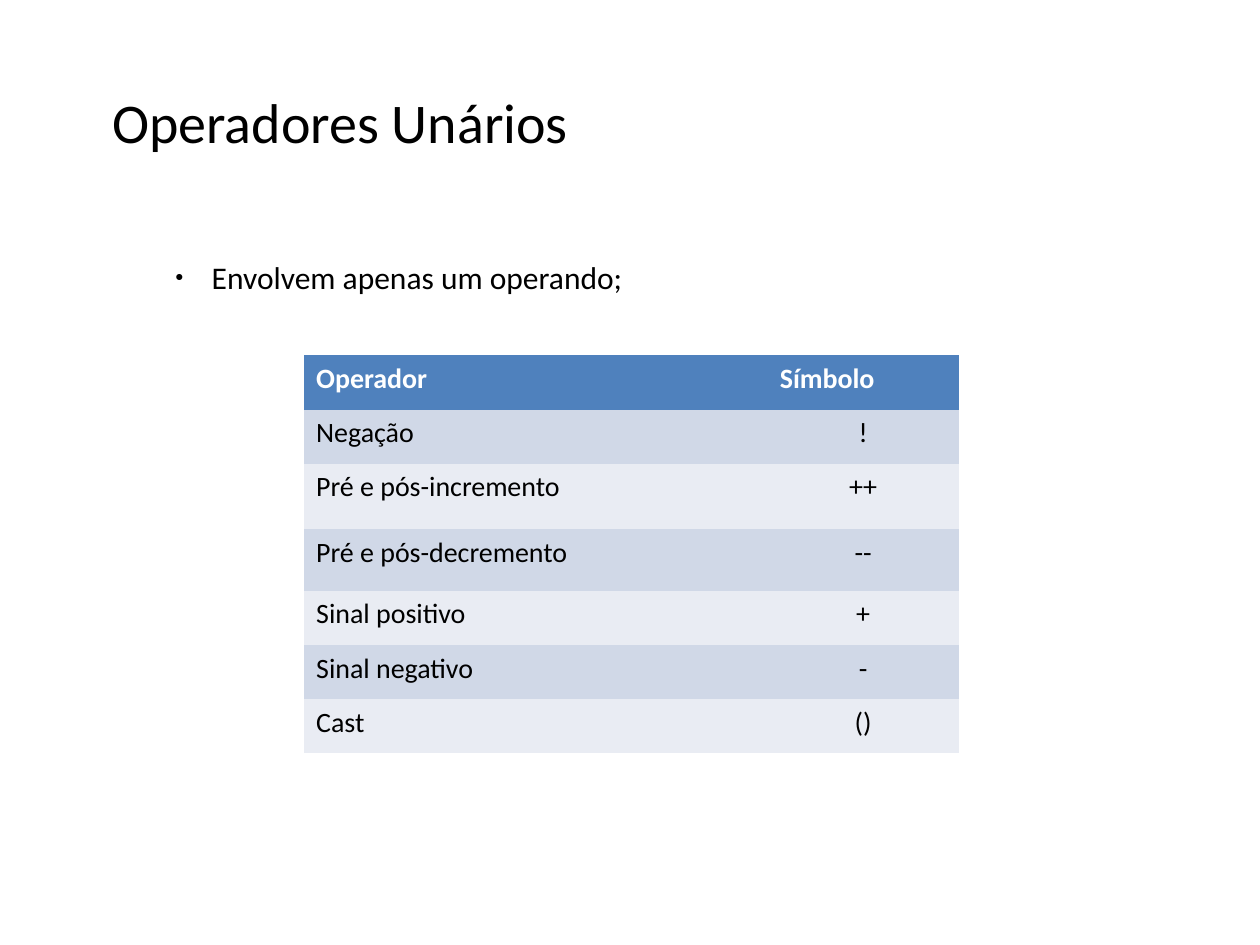
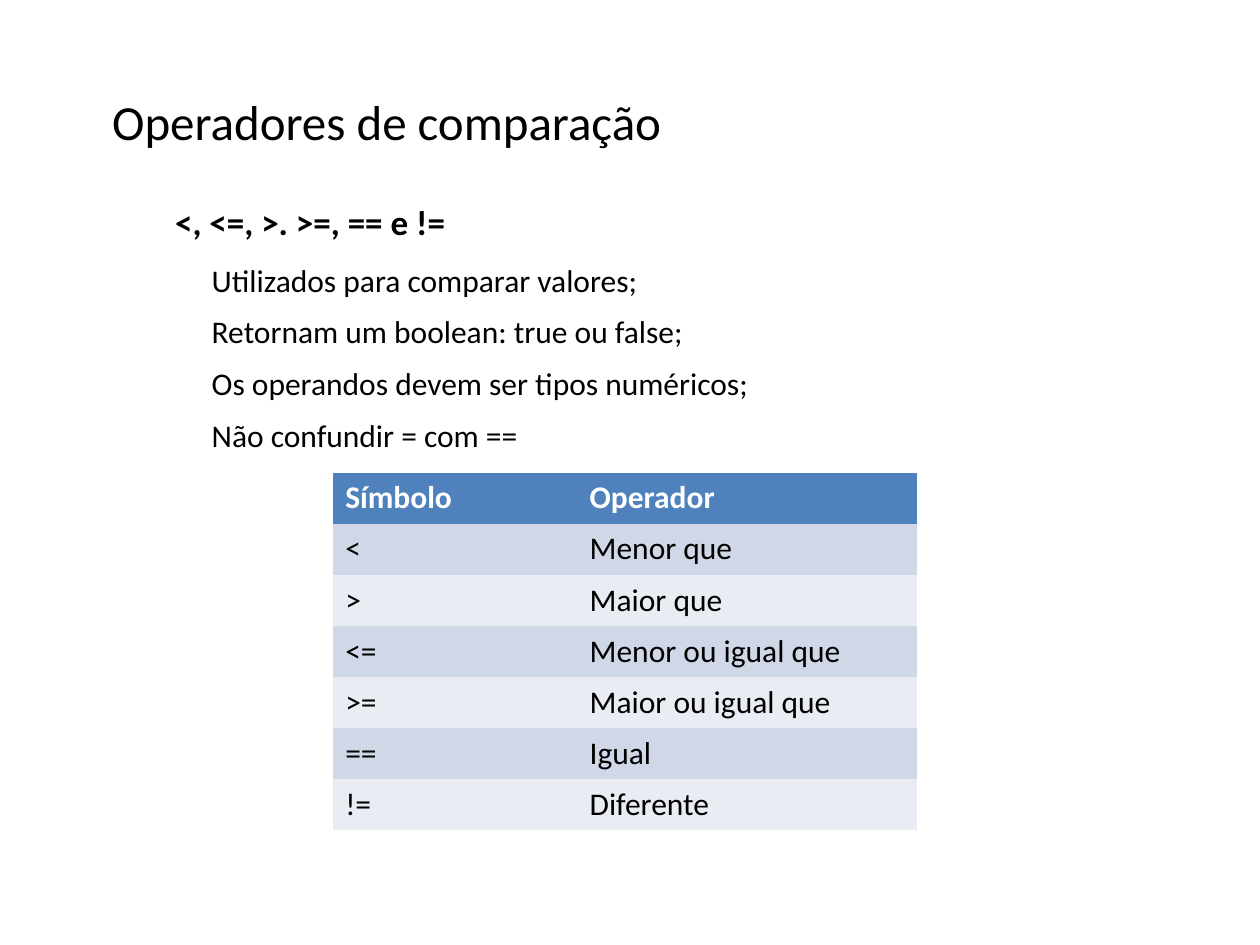
from dataclasses import dataclass

from lxml import etree
from pptx import Presentation
from pptx.dml.color import RGBColor
from pptx.enum.text import MSO_ANCHOR, MSO_AUTO_SIZE, PP_ALIGN
from pptx.oxml.ns import qn
from pptx.util import Inches, Pt

BLACK = RGBColor(0x00, 0x00, 0x00)
WHITE = RGBColor(0xFF, 0xFF, 0xFF)
HEADER_BLUE = RGBColor(0x4F, 0x81, 0xBD)
BANDS = (RGBColor(0xD0, 0xD8, 0xE7), RGBColor(0xE9, 0xEC, 0xF3))
FONT = "Calibri"
LEFT = PP_ALIGN.LEFT
CENTER = PP_ALIGN.CENTER
MIDDLE = MSO_ANCHOR.MIDDLE
NO_AUTOFIT = MSO_AUTO_SIZE.NONE
TITLE_AND_CONTENT = 1
PLAIN_TABLE_STYLE = "{2D5ABB26-0587-4C30-8999-92F81FD0307C}"
LIST_LEFT = Inches(1.39)
LIST_WIDTH = Inches(7.46)
LIST_INDENT = Inches(0.29)


@dataclass(frozen=True)
class OperatorTable:
    left: float
    top: float
    column_widths: tuple[float, ...]
    row_heights: tuple[float, ...]
    font_size: int
    symbol_align: PP_ALIGN
    rows: tuple[tuple[str, str], ...]


@dataclass(frozen=True)
class OperatorSlide:
    title: str
    title_size: int
    list_top: float
    list_height: float
    items: tuple[str, ...]
    bulleted: bool
    table: OperatorTable
    heading: str = ""


SLIDES = (
    OperatorSlide(
        title="Operadores Unários",
        title_size=32,
        list_top=1.95,
        list_height=0.49,
        items=("Envolvem apenas um operando;",),
        bulleted=True,
        table=OperatorTable(
            2.41, 2.82, (3.68, 1.52),
            (0.43, 0.43, 0.52, 0.49, 0.43, 0.43, 0.43), 16, CENTER,
            (
                ("Operador", "Símbolo"),
                ("Negação", "!"),
                ("Pré e pós-incremento", "++"),
                ("Pré e pós-decremento", "--"),
                ("Sinal positivo", "+"),
                ("Sinal negativo", "-"),
                ("Cast", "()"),
            ),
        ),
    ),
    OperatorSlide(
        title="Operadores de comparação",
        title_size=28,
        list_top=2.05,
        list_height=1.57,
        items=(
            "Utilizados para comparar valores;",
            "Retornam um boolean: true ou false;",
            "Os operandos devem ser tipos numéricos;",
            "Não confundir = com ==",
        ),
        bulleted=False,
        table=OperatorTable(
            2.64, 3.75, (1.94, 2.7), (0.405,) * 7, 18, LEFT,
            (
                ("Símbolo", "Operador"),
                ("<", "Menor que"),
                (">", "Maior que"),
                ("<=", "Menor ou igual que"),
                (">=", "Maior ou igual que"),
                ("==", "Igual"),
                ("!=", "Diferente"),
            ),
        ),
        heading="<, <=, >. >=, == e !=",
    ),
)


def add_run(paragraph, text: str, size: int, color=BLACK, bold: bool = False) -> None:
    run = paragraph.add_run()
    run.text = text
    run.font.name = FONT
    run.font.size = Pt(size)
    run.font.bold = bold
    run.font.color.rgb = color


def place(shape, left, top, width, height) -> None:
    shape.left, shape.top, shape.width, shape.height = left, top, width, height


def prepare_frame(shape, margin_x: float = 0, margin_y: float = 0):
    frame = shape.text_frame
    frame.word_wrap = True
    frame.auto_size = NO_AUTOFIT
    frame.vertical_anchor = MIDDLE
    frame.margin_left = frame.margin_right = Inches(margin_x)
    frame.margin_top = frame.margin_bottom = Inches(margin_y)
    return frame


def fill_title(slide, text: str, size: int) -> None:
    title = slide.shapes.title
    place(title, Inches(0.79), Inches(0.22), Inches(8.5), Inches(1.48))
    paragraph = prepare_frame(title, 0.1, 0.05).paragraphs[0]
    paragraph.alignment = LEFT
    add_run(paragraph, text, size)


def set_bullet(paragraph, bulleted: bool) -> None:
    properties = paragraph._p.get_or_add_pPr()
    properties.set("marL", str(LIST_INDENT))
    properties.set("indent", str(-LIST_INDENT if bulleted else 0))
    if bulleted:
        etree.SubElement(properties, qn("a:buSzPct"), val="45000")
        etree.SubElement(properties, qn("a:buChar"), char="●")
    else:
        etree.SubElement(properties, qn("a:buNone"))


def fill_list(slide, content: OperatorSlide) -> None:
    body = slide.placeholders[1]
    place(body, LIST_LEFT, Inches(content.list_top), LIST_WIDTH, Inches(content.list_height))
    frame = prepare_frame(body)
    for index, item in enumerate(content.items):
        paragraph = frame.add_paragraph() if index else frame.paragraphs[0]
        paragraph.alignment = LEFT
        paragraph.space_before = Pt(8)
        set_bullet(paragraph, content.bulleted)
        add_run(paragraph, item, 18)


def add_heading(slide, text: str) -> None:
    box = slide.shapes.add_textbox(LIST_LEFT, Inches(1.54), LIST_WIDTH, Inches(0.43))
    add_run(prepare_frame(box).paragraphs[0], text, 20, bold=True)


def add_operator_table(slide, content: OperatorTable) -> None:
    frame = slide.shapes.add_table(
        len(content.rows), len(content.column_widths),
        Inches(content.left), Inches(content.top),
        Inches(sum(content.column_widths)), Inches(sum(content.row_heights)),
    )
    table = frame.table
    table.first_row = table.horz_banding = False
    table._tbl.tblPr.find(qn("a:tableStyleId")).text = PLAIN_TABLE_STYLE
    for column, width in zip(table.columns, content.column_widths):
        column.width = Inches(width)
    for row, height in zip(table.rows, content.row_heights):
        row.height = Inches(height)
    for row_index, texts in enumerate(content.rows):
        is_header = row_index == 0
        for column_index, text in enumerate(texts):
            cell = table.cell(row_index, column_index)
            cell.fill.solid()
            cell.fill.fore_color.rgb = HEADER_BLUE if is_header else BANDS[(row_index - 1) % 2]
            paragraph = cell.text_frame.paragraphs[0]
            paragraph.alignment = content.symbol_align if column_index and not is_header else LEFT
            add_run(paragraph, text, content.font_size, WHITE if is_header else BLACK, is_header)


def main() -> None:
    presentation = Presentation()
    presentation.slide_width = Inches(10)
    presentation.slide_height = Inches(7.5)
    for content in SLIDES:
        slide = presentation.slides.add_slide(presentation.slide_layouts[TITLE_AND_CONTENT])
        fill_title(slide, content.title, content.title_size)
        if content.heading:
            add_heading(slide, content.heading)
        fill_list(slide, content)
        add_operator_table(slide, content.table)
    presentation.save("out.pptx")


if __name__ == "__main__":
    main()
